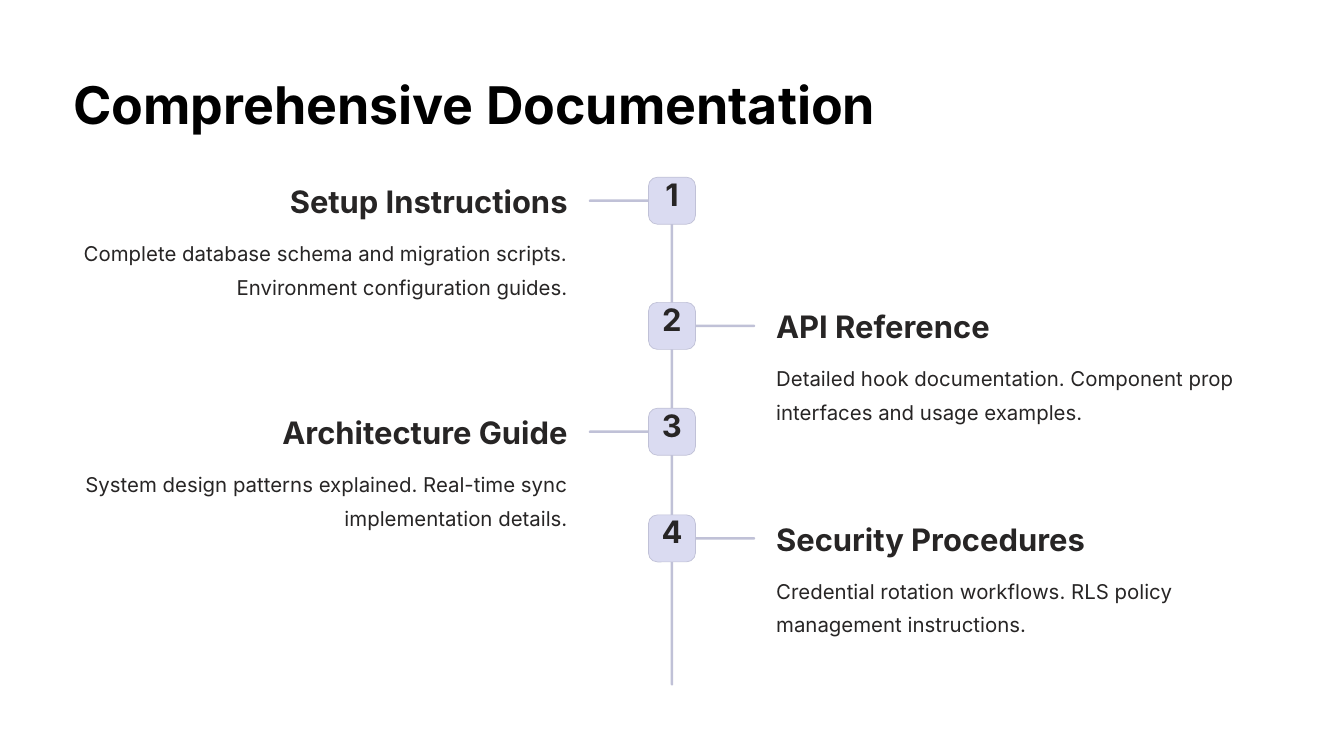
from pptx import Presentation
from pptx import util as u
from pptx.dml.color import RGBColor
from pptx.enum import shapes, text

THEME = {
    "title": {"size": 44.5, "leading": 55.5, "bold": True, "color": "000000"},
    "number": {"size": 26.5, "leading": 26.5, "bold": True, "color": "272525"},
    "heading": {"size": 26.5, "leading": 33, "bold": True, "color": "272525"},
    "body": {"size": 17.5, "leading": 28.5, "bold": False, "color": "272525"},
    "font": "Inter",
    "rule": "C0C1D7",
    "badge": "DADBF1",
}
LEFT, CENTER, RIGHT = text.PP_ALIGN.LEFT, text.PP_ALIGN.CENTER, text.PP_ALIGN.RIGHT

prs = Presentation()
prs.slide_width, prs.slide_height = u.Inches(16), u.Inches(9)
s = prs.slides.add_slide(prs.slide_layouts[6])


def add_text(words, style, box, align=LEFT, wrap=False):
    look = THEME[style]
    tf = s.shapes.add_textbox(*map(u.Inches, box)).text_frame
    tf.margin_left = tf.margin_top = tf.margin_right = tf.margin_bottom = 0
    tf.word_wrap = wrap
    p = tf.paragraphs[0]
    p.text = words
    p.alignment = align
    p.line_spacing = u.Pt(look["leading"])
    p.font.name = THEME["font"]
    p.font.size = u.Pt(look["size"])
    p.font.bold = look["bold"]
    p.font.color.rgb = RGBColor.from_string(look["color"])


def add_rounded(box, fill, radius=0.5, outline=None):
    sp = s.shapes.add_shape(shapes.MSO_SHAPE.ROUNDED_RECTANGLE, *map(u.Inches, box))
    sp.adjustments[0] = radius
    sp.shadow.inherit = False
    sp.fill.solid()
    sp.fill.fore_color.rgb = RGBColor.from_string(fill)
    if outline:
        sp.line.color.rgb = RGBColor.from_string(outline)
        sp.line.width = u.Pt(0.6)
    else:
        sp.line.fill.background()


MARGIN, MIDDLE = 0.87, 8
BADGE, RULE, TICK = 0.56, 0.03, 0.74
NUMBER_W, HEADING_W, BODY_W = 0.37, 3.72, 5.89
LEFT_EDGE, RIGHT_EDGE = MIDDLE - 1.24, MIDDLE + 1.24  # inner edges of the two text columns

steps = [
    (2.11, "Setup Instructions",
     "Complete database schema and migration scripts. Environment configuration guides."),
    (3.60, "API Reference",
     "Detailed hook documentation. Component prop interfaces and usage examples."),
    (4.86, "Architecture Guide",
     "System design patterns explained. Real-time sync implementation details."),
    (6.13, "Security Procedures",
     "Credential rotation workflows. RLS policy management instructions."),
]

add_text("Comprehensive Documentation", "title", (MARGIN, 0.84, 9.59, 0.78))
add_rounded((MIDDLE - RULE / 2, steps[0][0], RULE, 6.05), THEME["rule"])

for number, (top, heading, body) in enumerate(steps, 1):
    if number % 2:
        align, tick_x = RIGHT, MIDDLE - 0.25 - TICK
        heading_x, body_x = LEFT_EDGE - HEADING_W, LEFT_EDGE - BODY_W
    else:
        align, tick_x = LEFT, MIDDLE + 0.25
        heading_x = body_x = RIGHT_EDGE
    add_rounded((tick_x, top + (BADGE - RULE) / 2, TICK, RULE), THEME["rule"])
    add_rounded((MIDDLE - BADGE / 2, top, BADGE, BADGE), THEME["badge"], 0.19, THEME["rule"])
    add_text(str(number), "number", (MIDDLE - NUMBER_W / 2, top + 0.05, NUMBER_W, 0.47), CENTER)
    add_text(heading, "heading", (heading_x, top + 0.05, HEADING_W, 0.47), align)
    add_text(body, "body", (body_x, top + 0.66, BODY_W, 0.79), align, wrap=True)

prs.save("out.pptx")
